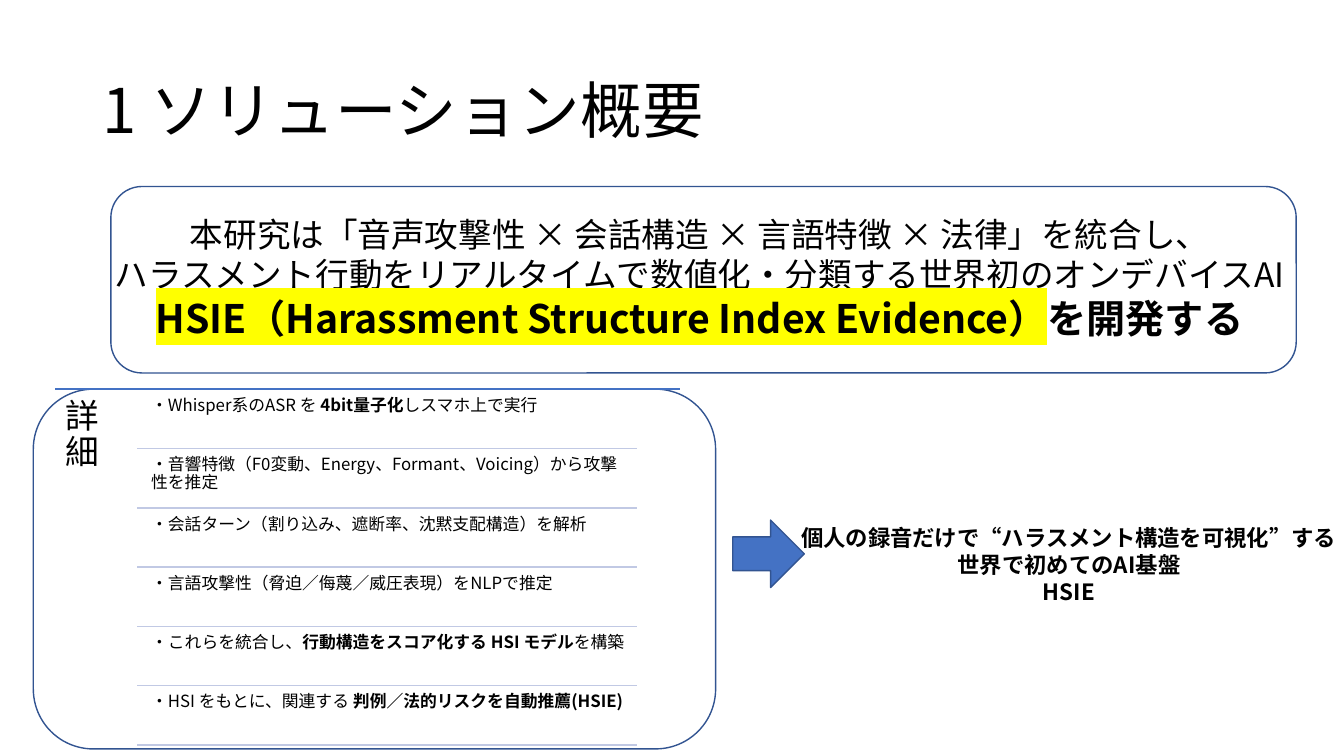
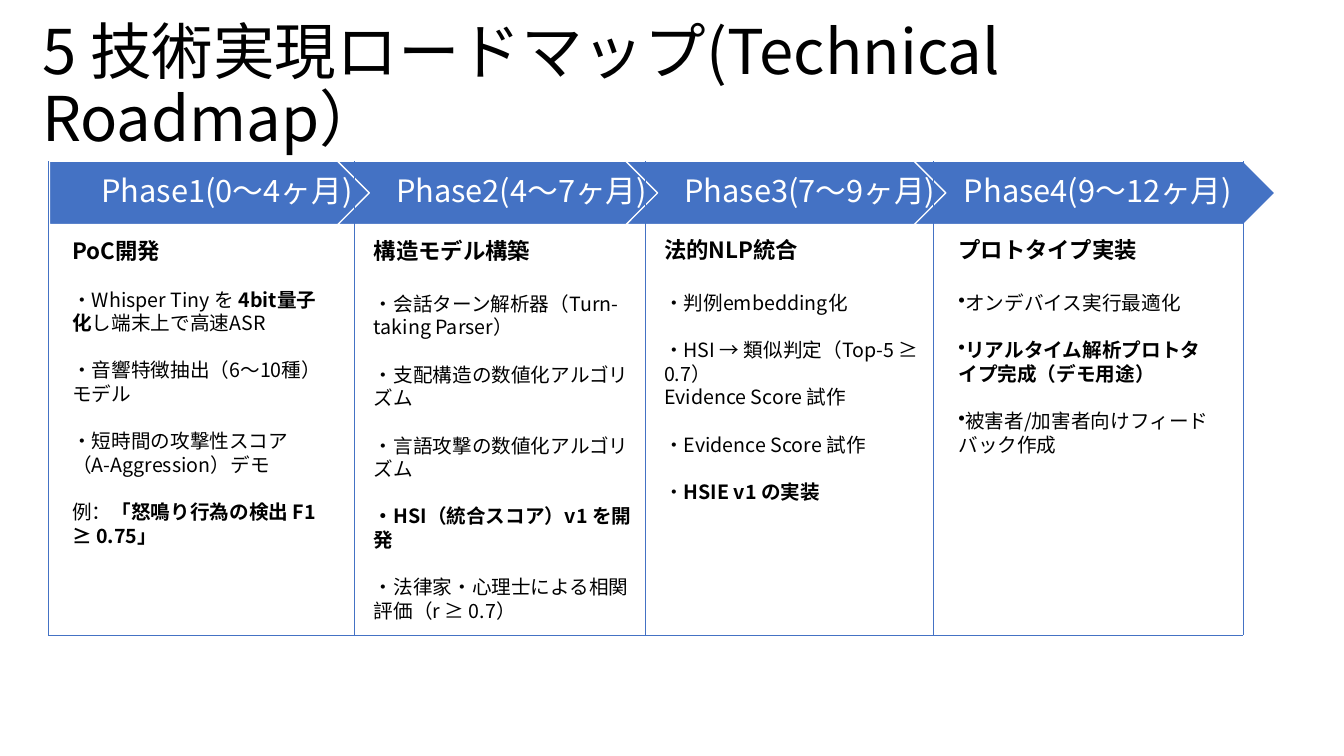
"""Build two slides: solution overview and technical roadmap."""
import pptx
import pptx.enum.shapes
import pptx.enum.text
import pptx.oxml.ns
import pptx.util
from lxml import etree

Pt = pptx.util.Pt
Rgb = pptx.dml.color.RGBColor
qn = pptx.oxml.ns.qn
Kind = pptx.enum.shapes.MSO_SHAPE
Align = pptx.enum.text.PP_ALIGN
Anchor = pptx.enum.text.MSO_ANCHOR

FONT = "Noto Sans CJK JP"
HEX = {"ink": "000000", "white": "FFFFFF", "blue": "4472C4",
       "edge": "325491", "rule": "C1C9E4", "mark": "FFFF00"}

LEAD = ["本研究は「音声攻撃性 × 会話構造 × 言語特徴 × 法律」を統合し、",
        "ハラスメント行動をリアルタイムで数値化・分類する世界初のオンデバイスAI"]
GOAL = "|HSIE（Harassment Structure Index Evidence）|を開発する"
ROWS = ["・Whisper系のASR を |4bit量子化|しスマホ上で実行",
        "・音響特徴（F0変動、Energy、Formant、Voicing）から攻撃性を推定",
        "・会話ターン（割り込み、遮断率、沈黙支配構造）を解析",
        "・言語攻撃性（脅迫／侮蔑／威圧表現）をNLPで推定",
        "・これらを統合し、|行動構造をスコア化する HSI モデル|を構築",
        "・HSI をもとに、関連する |判例／法的リスクを自動推薦(HSIE)|"]
CLAIM = ["個人の録音だけで“ハラスメント構造を可視化”する",
         "世界で初めてのAI基盤", "HSIE"]

PHASES = [
    {"name": "Phase1(0〜4ヶ月)", "head": "PoC開発", "left": 44.6, "top": 165.6,
     "gap": 17, "items": [
         ["・Whisper Tiny を |4bit量子化|し端末上で高速ASR"],
         ["・音響特徴抽出（6〜10種）モデル"],
         ["・短時間の攻撃性スコア", "（A-Aggression）デモ"],
         ["例：|「怒鳴り行為の検出 F1 ≥ 0.75」|"]]},
    {"name": "Phase2(4〜7ヶ月)", "head": "構造モデル構築", "left": 260, "top": 165.6,
     "gap": 20, "items": [
         ["・会話ターン解析器（Turn-taking Parser）"],
         ["・支配構造の数値化アルゴリズム"],
         ["・言語攻撃の数値化アルゴリズム"],
         ["|・HSI（統合スコア）v1 を開発|"],
         ["・法律家・心理士による相関評価（r ≥ 0.7）"]]},
    {"name": "Phase3(7〜9ヶ月)", "head": "法的NLP統合", "left": 467.3, "top": 164.9,
     "gap": 20, "items": [
         ["・判例embedding化"],
         ["・HSI → 類似判定（Top-5 ≥ 0.7）", "Evidence Score 試作"],
         ["・Evidence Score 試作"],
         ["・|HSIE v1 の実装|"]]},
    {"name": "Phase4(9〜12ヶ月)", "head": "プロトタイプ実装", "left": 677.5, "top": 164.9,
     "gap": 20, "bullet": "•", "items": [
         ["オンデバイス実行最適化"],
         ["|リアルタイム解析プロトタイプ完成（デモ用途）|"],
         ["被害者/加害者向けフィードバック作成"]]},
]
WALLS = [34.6, 253.4, 460.8, 666.7, 887.8]


def hue(key):
    return Rgb.from_string(HEX[key])


def write(frame, text, size, bold=None, ink="ink", align=None, lines=None,
          gap=0, bullet=None, mark=None):
    """Add one paragraph; parts between bars are bold, or marked."""
    first = frame.paragraphs[0]
    para = first if not first.runs else frame.add_paragraph()
    para.alignment = align
    para.line_spacing = lines
    if gap:
        para.space_before = Pt(gap)
    if bullet:
        props = para._p.get_or_add_pPr()
        etree.SubElement(props, qn("a:buChar")).set("char", bullet)
    font = para.font
    font.size, font.bold, font.name = Pt(size), bold, FONT
    font.color.rgb = hue(ink)
    base = para._p.pPr.find(qn("a:defRPr"))
    etree.SubElement(base, qn("a:ea")).set("typeface", FONT)
    for i, part in enumerate(text.split("|")):
        if not part:
            continue
        run = para.add_run()
        run.text = part
        if i % 2 and mark:
            glow = etree.SubElement(run._r.get_or_add_rPr(), qn("a:highlight"))
            etree.SubElement(glow, qn("a:srgbClr")).set("val", HEX[mark])
        elif i % 2:
            run.font.bold = True


def setup(frame, pads, anchor=Anchor.TOP, wrap=True):
    frame.word_wrap = wrap
    frame.vertical_anchor = anchor
    (frame.margin_left, frame.margin_top,
     frame.margin_right, frame.margin_bottom) = [Pt(pad) for pad in pads]
    return frame


def box(slide, area, pads=(7.2, 3.6, 7.2, 3.6), **opts):
    shape = slide.shapes.add_textbox(*[Pt(n) for n in area])
    return setup(shape.text_frame, pads, **opts)


def shape(slide, kind, area, edge, fill=None):
    item = slide.shapes.add_shape(kind, *[Pt(n) for n in area])
    item.shadow.inherit = False
    if fill:
        item.fill.solid()
        item.fill.fore_color.rgb = hue(fill)
    else:
        item.fill.background()
    item.line.color.rgb = hue(edge)
    item.line.width = Pt(1)
    return item


def line(slide, ends, ink, width=1):
    link = slide.shapes.add_connector(
        pptx.enum.shapes.MSO_CONNECTOR.STRAIGHT, *[Pt(n) for n in ends])
    link.line.color.rgb = hue(ink)
    link.line.width = Pt(width)
    etree.SubElement(link._element.spPr, qn("a:effectLst"))


def page(deck, title, area):
    slide = deck.slides.add_slide(deck.slide_layouts[6])
    write(box(slide, area, anchor=Anchor.MIDDLE), title, 44, lines=0.9)
    return slide


def outline(deck):
    slide = page(deck, "1 ソリューション概要", (66.2, 28.8, 828, 104.4))
    shape(slide, Kind.ROUNDED_RECTANGLE, (23.8, 278, 487.4, 257), "edge")
    shape(slide, Kind.ROUNDED_RECTANGLE, (79.2, 133.2, 846.7, 133.2), "edge")
    lead = box(slide, (56.9, 149, 885.6, 99.4), wrap=False)
    for text in LEAD:
        write(lead, text, 24, align=Align.CENTER)
    write(lead, GOAL, 28, bold=True, align=Align.CENTER, mark="mark")

    line(slide, (39.6, 278, 486, 278), "blue")
    write(box(slide, (39.6, 278, 57.6, 256), [7.2] * 4), "詳細", 24, lines=0.9)
    for i, text in enumerate(ROWS):
        top = 280 + 42.35 * i
        cell = box(slide, (104.4, top, 350.6, 40.3), [3.6] * 4)
        write(cell, text, 12, lines=0.9)
        line(slide, (97.9, top + 40.4, 455, top + 40.4), "rule")

    shape(slide, Kind.RIGHT_ARROW, (523.4, 371.5, 51.1, 48.2), "edge", "blue")
    claim = box(slide, (568.8, 370.8, 389.6, 65.5), (0, 3.6, 0, 3.6))
    for text in CLAIM:
        write(claim, text, 16, bold=True, align=Align.CENTER)


def roadmap(deck):
    slide = page(deck, "5 技術実現ロードマップ(Technical Roadmap）",
                 (23, 10.8, 936, 104.4))
    for i, phase in enumerate(PHASES):
        kind = Kind.CHEVRON if i else Kind.PENTAGON
        step = shape(slide, kind, (35.3 + 205.9 * i, 115.2, 257.8, 45.2),
                     "white", "blue")
        pads = (7.2 if i else 9.4, 4.3, 2.2, 4.3)
        write(setup(step.text_frame, pads, Anchor.MIDDLE), phase["name"], 22,
              ink="white", align=Align.CENTER, lines=0.9)
    for x in WALLS:
        line(slide, (x, 115.2, x, 453.6), "blue", 0.5)
    line(slide, (WALLS[0], 453.6, WALLS[-1], 453.6), "blue", 0.5)
    for phase in PHASES:
        body = box(slide, (phase["left"], phase["top"], 199.4, 280))
        write(body, phase["head"], 16, bold=True)
        for i, item in enumerate(phase["items"]):
            for j, text in enumerate(item):
                gap = 0 if j else 17 if i else phase["gap"]
                write(body, text, 14, gap=gap, bullet=phase.get("bullet"))


def main():
    deck = pptx.Presentation()
    deck.slide_width, deck.slide_height = Pt(960), Pt(540)
    outline(deck)
    roadmap(deck)
    deck.save("out.pptx")


if __name__ == "__main__":
    main()
